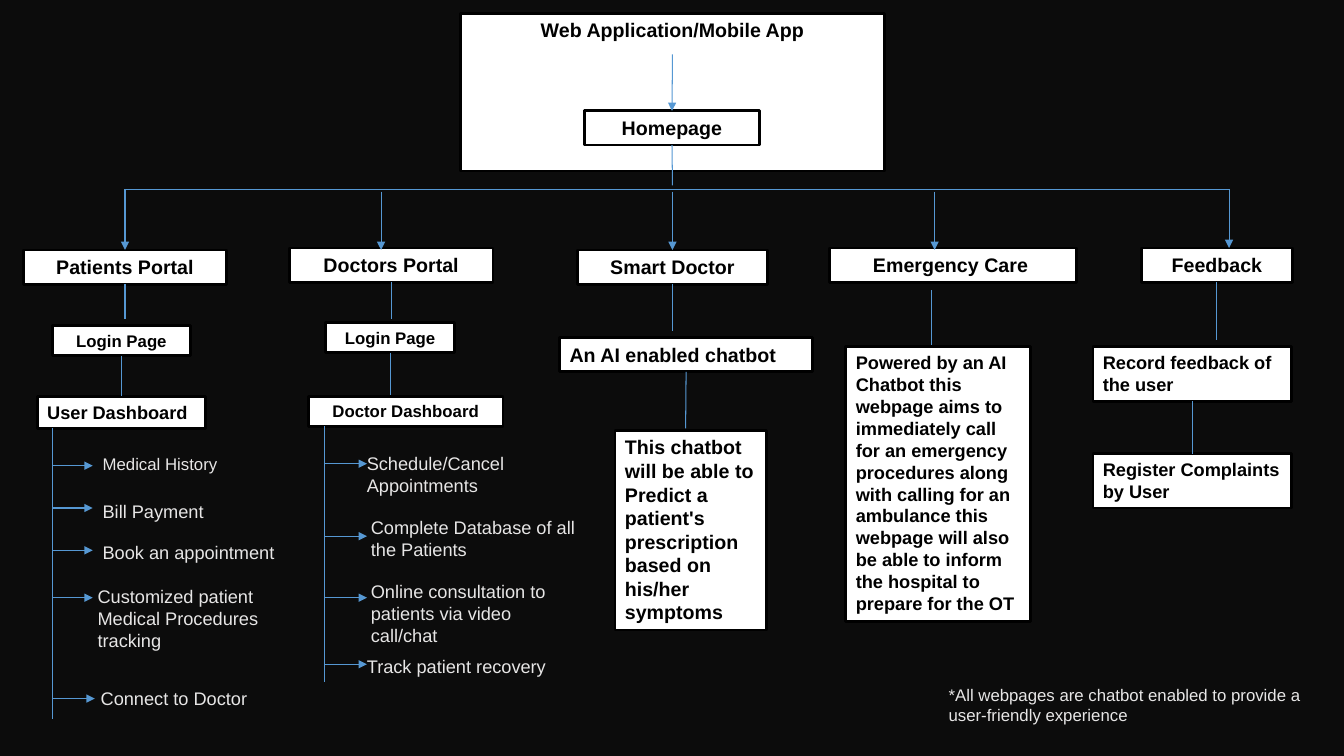
from dataclasses import dataclass

from lxml.etree import SubElement
from pptx import Presentation
from pptx.dml.color import RGBColor
from pptx.enum.shapes import MSO_CONNECTOR, MSO_SHAPE
from pptx.enum.text import MSO_ANCHOR, MSO_AUTO_SIZE, PP_ALIGN
from pptx.oxml.ns import qn
from pptx.slide import Slide
from pptx.util import Pt

PX = 9144  # 100 px to the inch
TOP, BOTTOM = 0, 2
FONT = "Arial"
NIGHT = RGBColor(0x0C, 0x0C, 0x0C)
WHITE = RGBColor(0xFF, 0xFF, 0xFF)
BLACK = RGBColor(0x00, 0x00, 0x00)
PALE = RGBColor(0xE7, 0xE6, 0xE6)
BLUE = RGBColor(0x56, 0x98, 0xD3)


def write(shape, text, size, color, bold=False, align=PP_ALIGN.LEFT):
    frame = shape.text_frame
    frame.text = text
    frame.word_wrap = True
    frame.auto_size = MSO_AUTO_SIZE.SHAPE_TO_FIT_TEXT
    frame.vertical_anchor = MSO_ANCHOR.TOP
    for paragraph in frame.paragraphs:
        paragraph.alignment = align
        font = paragraph.font
        font.name, font.size, font.bold = FONT, Pt(size), bold
        font.color.rgb = color


def style_node(node, text, size, align):
    node.fill.solid()
    node.fill.fore_color.rgb = WHITE
    node.line.color.rgb = BLACK
    node.line.width = Pt(2)
    write(node, text, size, BLACK, True, align)


@dataclass
class Region:
    """Part of the chart; positions are px from its top left corner."""
    slide: Slide
    left: int
    top: int

    def at(self, x, y):
        return (self.left + x) * PX, (self.top + y) * PX

    def node(self, x, y, width, height, text, size=14, align=PP_ALIGN.CENTER):
        node = self.slide.shapes.add_shape(
            MSO_SHAPE.RECTANGLE, *self.at(x, y), width * PX, height * PX)
        node.shadow.inherit = False
        style_node(node, text, size, align)
        return node

    def label(self, x, y, width, height, text, size=13):
        label = self.slide.shapes.add_textbox(
            *self.at(x, y), width * PX, height * PX)
        write(label, text, size, PALE)

    def link(self, start, end, arrow=False, above=None, below=None):
        """Draw a line, joined to the node above and the node below if given."""
        link = self.slide.shapes.add_connector(
            MSO_CONNECTOR.STRAIGHT, *self.at(*start), *self.at(*end))
        link.line.color.rgb = BLUE
        link.line.width = Pt(0.75)
        if arrow:
            SubElement(link.line._get_or_add_ln(), qn("a:tailEnd"), type="triangle")
        SubElement(link._element.spPr, qn("a:effectLst"))
        if above is not None:
            link.begin_connect(above, BOTTOM)
        if below is not None:
            link.end_connect(below, TOP)

    def heading(self, text, width, drop_x, drop_top, drop_end=0, joined=False):
        """Node of a main section with the arrow that drops onto it."""
        heading = self.node(0, 0, width, 34, text)
        self.link((drop_x, drop_top), (drop_x, drop_end), True,
                  below=heading if joined else None)
        return heading

    def features(self, x, top, bottom, arrows, labels):
        """Vertical trunk with an arrow to each feature label."""
        self.link((x, top), (x, bottom))
        for y, length in arrows:
            self.link((x, y), (x + length, y), True)
        for label in labels:
            self.label(*label)


def entry(region):
    title = region.slide.shapes.title
    title.left, title.top = region.at(0, 0)
    title.width, title.height = 420 * PX, 34 * PX
    style_node(title, "Web Application/Mobile App", 14, PP_ALIGN.CENTER)
    homepage = region.node(123, 97, 173, 34, "Homepage")
    region.link((210, 41), (210, 97), True, below=homepage)
    region.link((210, 131), (210, 171), above=homepage)
    region.link((-333, 175), (763, 175))


def patients_portal(region):
    portal = region.heading("Patients Portal", 202, 101, -60, joined=True)
    region.link((101, 34), (101, 68), above=portal)
    login = region.node(29, 75, 137, 30, "Login Page", 12)
    dashboard = region.node(14, 145, 167, 32, "User Dashboard", 13, PP_ALIGN.LEFT)
    region.link((97, 105), (97, 145), above=login, below=dashboard)
    region.features(
        29, 177, 465,
        [(214, 40), (256, 40), (298, 40), (345, 40), (445, 42)],
        [(69, 197, 144, 30, "Medical History", 12),
         (69, 243, 126, 32, "Bill Payment"),
         (69, 284, 214, 32, "Book an appointment"),
         (64, 328, 193, 98, "Customized patient\nMedical Procedures tracking"),
         (67, 429, 188, 32, "Connect to Doctor")])


def doctors_portal(region):
    portal = region.heading("Doctors Portal", 202, 91, -56, 2)
    region.link((101, 34), (101, 70), above=portal)
    login = region.node(36, 74, 128, 30, "Login Page", 12)
    region.link((100, 104), (100, 147), above=login)
    region.node(19, 147, 193, 30, "Doctor Dashboard", 12)
    region.features(
        35, 177, 431,
        [(214, 42), (286, 42), (347, 42), (413, 42)],
        [(67, 198, 177, 54, "Schedule/Cancel Appointments"),
         (71, 261, 251, 54, "Complete Database of all\nthe Patients"),
         (71, 325, 225, 76, "Online consultation to patients via video call/chat"),
         (67, 399, 219, 32, "Track patient recovery")])


def smart_doctor(region):
    smart = region.heading("Smart Doctor", 188, 94, -58, joined=True)
    region.link((94, 34), (94, 80), above=smart)
    chatbot = region.node(-18, 87, 251, 34, "An AI enabled chatbot", align=PP_ALIGN.LEFT)
    region.link((107, 121), (107, 177), above=chatbot)
    region.node(37, 179, 150, 198,
                "This chatbot will be able to Predict a patient's prescription "
                "based on his/her symptoms", align=PP_ALIGN.LEFT)


def emergency_care(region):
    region.heading("Emergency Care ", 245, 104, -56, 2)
    region.link((101, 42), (101, 98))
    region.node(16, 98, 183, 273,
                "Powered by an AI Chatbot this webpage aims to immediately call "
                "for an emergency procedures along with calling for an ambulance "
                "this webpage will also be able to inform the hospital to prepare "
                "for the OT", 13, PP_ALIGN.LEFT)


def feedback(region):
    heading = region.heading("Feedback", 150, 87, -58)
    region.link((75, 34), (75, 91), above=heading)
    record, complaints = (
        region.node(-48, y, 197, 54, text, 13, PP_ALIGN.LEFT)
        for y, text in ((98, "Record feedback of the user"),
                        (204, "Register Complaints by User")))
    region.link((51, 152), (51, 204), above=record, below=complaints)


def footnote(region):
    region.label(0, 0, 371, 50,
                 "*All webpages are chatbot enabled to provide a "
                 "user-friendly experience", 12)


def main():
    deck = Presentation()
    deck.slide_width, deck.slide_height = 1333 * PX, 750 * PX
    slide = deck.slides.add_slide(deck.slide_layouts.get_by_name("Title Only"))
    slide.background.fill.solid()
    slide.background.fill.fore_color.rgb = NIGHT
    for build, left, top in ((entry, 457, 13),
                             (patients_portal, 23, 248),
                             (doctors_portal, 287, 246),
                             (smart_doctor, 573, 248),
                             (emergency_care, 823, 246),
                             (feedback, 1132, 246),
                             (footnote, 931, 674)):
        build(Region(slide, left, top))
    deck.save("out.pptx")


if __name__ == "__main__":
    main()
